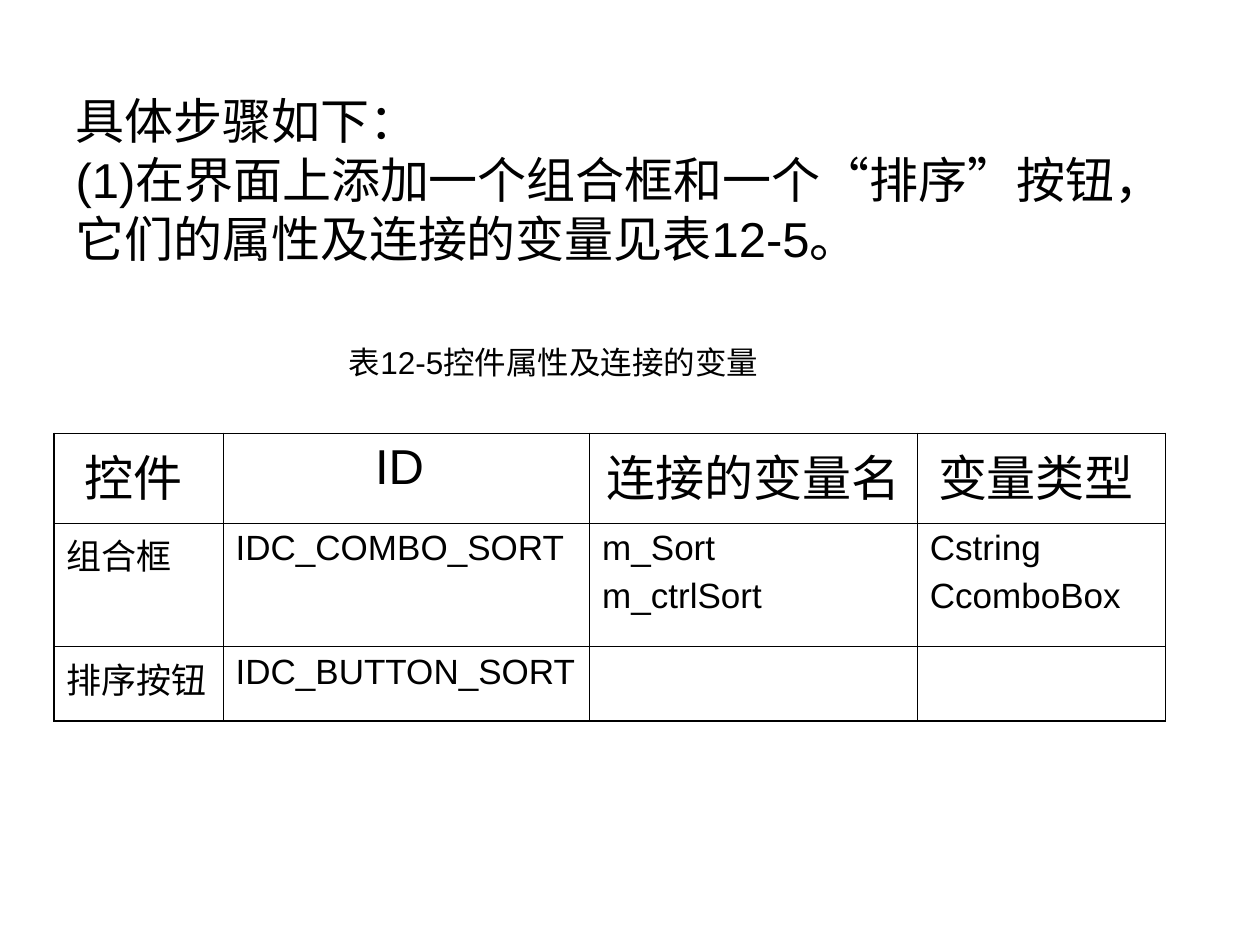
from dataclasses import dataclass

from lxml import etree
from pptx import Presentation
from pptx.dml.color import RGBColor
from pptx.enum.text import MSO_ANCHOR, MSO_AUTO_SIZE, PP_ALIGN
from pptx.oxml.ns import qn
from pptx.util import Inches, Pt

LEFT, CENTER = PP_ALIGN.LEFT, PP_ALIGN.CENTER
MIDDLE = MSO_ANCHOR.MIDDLE
NO_FIT = MSO_AUTO_SIZE.NONE


@dataclass(frozen=True)
class Theme:
    font: str = "Arial"
    ink: str = "000000"
    large: int = 28
    medium: int = 20
    small: int = 18
    outer: float = 1.08
    inner: float = 0.45


T = Theme()
TITLE = [
    "具体步骤如下：",
    "(1)在界面上添加一个组合框和一个“排序”按钮，它们的属性及连接的变量见表12-5。",
]
CAPTION = ["表12-5控件属性及连接的变量"]
HEADER = ["控件 ", "ID ", "连接的变量名 ", "变量类型 "]
BODY = [
    [["组合框"], ["IDC_COMBO_SORT"], ["m_Sort", "m_ctrlSort"], ["Cstring", "CcomboBox"]],
    [["排序按钮"], ["IDC_BUTTON_SORT"], [], []],
]
COLS = [1.34, 2.91, 2.6, 1.97]
ROWS = [0.71, 0.98, 0.59]
TITLE_BOX = (0.5, 0.67, 9, 1.5)
CAPTION_BOX = (2.67, 2.62, 3.8, 0.5)
TABLE_BOX = (0.43, 3.44, sum(COLS), sum(ROWS))


def inches(box):
    return [Inches(v) for v in box]


def write(tf, lines, size=T.medium, align=LEFT, before=0):
    tf.word_wrap = True
    for i, line in enumerate(lines):
        p = tf.add_paragraph() if i else tf.paragraphs[0]
        p.alignment = align
        p.space_before = Pt(before)
        r = p.add_run()
        r.text = line
        r.font.name = T.font
        r.font.size = Pt(size)
        r.font.color.rgb = RGBColor.from_string(T.ink)


def set_borders(cell, widths):
    tcPr = cell._tc.get_or_add_tcPr()
    for i, (side, width) in enumerate(widths.items()):
        ln = etree.Element(qn(f"a:ln{side}"), w=str(Pt(width)))
        fill = etree.SubElement(ln, qn("a:solidFill"))
        etree.SubElement(fill, qn("a:srgbClr"), val=T.ink)
        tcPr.insert(i, ln)


def add_grid(s):
    tbl = s.shapes.add_table(len(ROWS), len(COLS), *inches(TABLE_BOX)).table
    tbl.first_row = tbl.horz_banding = False
    for col, width in zip(tbl.columns, COLS):
        col.width = Inches(width)
    for row, height in zip(tbl.rows, ROWS):
        row.height = Inches(height)

    cells = [[[text] for text in HEADER]] + BODY
    for i, row in enumerate(cells):
        style = dict(before=5) if i else dict(size=T.large, align=CENTER, before=7)
        for j, lines in enumerate(row):
            cell = tbl.cell(i, j)
            cell.fill.background()
            write(cell.text_frame, lines, **style)
            edges = dict(L=j == 0, R=j == len(COLS) - 1, T=i == 0, B=i == len(ROWS) - 1)
            set_borders(cell, {k: T.outer if edge else T.inner for k, edge in edges.items()})


def main():
    prs = Presentation()
    prs.slide_width, prs.slide_height = Inches(10), Inches(7.5)
    s = prs.slides.add_slide(prs.slide_layouts[5])

    title = s.shapes.title
    title.left, title.top, title.width, title.height = inches(TITLE_BOX)
    caption = s.shapes.add_textbox(*inches(CAPTION_BOX))
    for sp, lines, size in ((title, TITLE, T.large), (caption, CAPTION, T.small)):
        tf = sp.text_frame
        tf.auto_size = NO_FIT
        tf.vertical_anchor = MIDDLE
        write(tf, lines, size=size)

    add_grid(s)
    prs.save("out.pptx")


if __name__ == "__main__":
    main()
